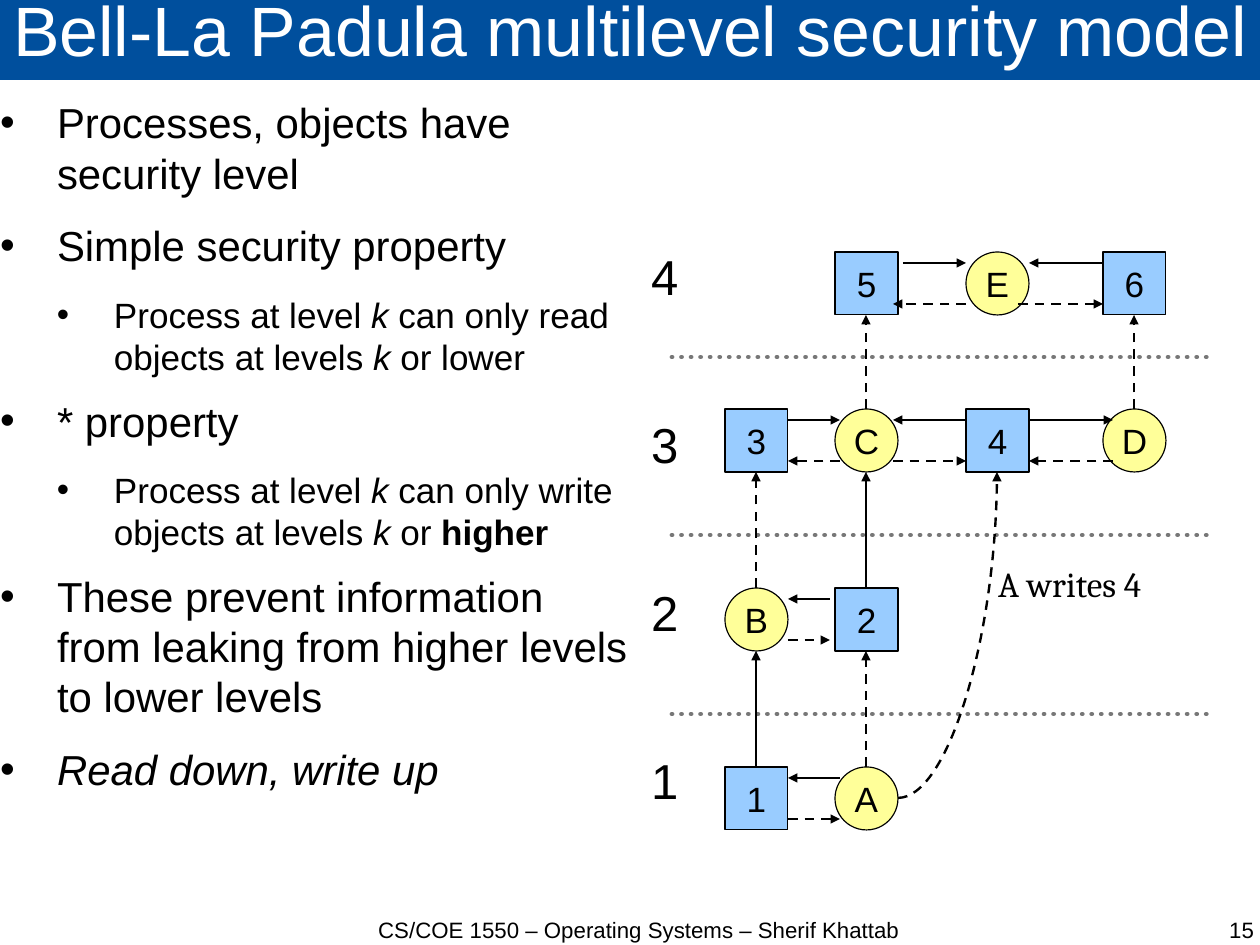
from dataclasses import dataclass

from lxml.etree import SubElement
from pptx import Presentation
from pptx.dml.color import RGBColor
from pptx.enum.dml import MSO_LINE
from pptx.enum.shapes import MSO_CONNECTOR, MSO_SHAPE
from pptx.enum.text import MSO_ANCHOR, MSO_AUTO_SIZE, PP_ALIGN
from pptx.oxml.ns import qn
from pptx.util import Pt

PX = 8000  # EMU per px, on a slide of 1260 by 945 px


@dataclass(frozen=True)
class Theme:
    font: str = "Arial"
    note_font: str = "Cambria"
    ink: str = "000000"
    title_ink: str = "FFFFFF"
    banner: str = "004F9D"
    object_fill: str = "99CCFF"
    process_fill: str = "FFFF99"
    separator: str = "777777"
    title_size: float = 44
    level_size: float = 30.9
    body_sizes: tuple = (26.4, 22.1)
    body_gaps: tuple = (14.2, 11.4)
    node_size: float = 22.1
    footer_size: float = 14


THEME = Theme()

# Diagram grid: node columns, and node tops by security level
NODE = 63
COLUMNS = [725, 835, 966, 1103]
LEVEL_TOPS = {4: 252, 3: 409, 2: 588, 1: 767}
LABEL_TOPS = {level: 241 + 168 * (4 - level) for level in LEVEL_TOPS}
SEPARATORS = [357, 535, 714]
READ_OFFSET, WRITE_OFFSET = 11, 52

# Letters are processes, digits are objects
NODES = {
    4: {1: "5", 2: "E", 3: "6"},
    3: {0: "3", 1: "C", 2: "4", 3: "D"},
    2: {0: "B", 1: "2"},
    1: {0: "1", 1: "A"},
}
# Level: (from x, to x) pairs
READS_ACROSS = {
    4: [(903, 966), (1103, 1029)],
    3: [(788, 840), (966, 893), (1029, 1113)],
    2: [(830, 788)],
    1: [(840, 788)],
}
WRITES_ACROSS = {
    4: [(966, 893), (1018, 1103)],
    3: [(840, 788), (893, 966), (1113, 1029)],
    2: [(788, 830)],
    1: [(788, 840)],
}
# (column, lower level), each pointing one level up
READS_UP = [(1, 2), (0, 1)]
WRITES_UP = [(1, 3), (3, 3), (0, 2), (1, 1)]

ITALIC, BOLD = {"italic": True}, {"bold": True}
# (list level, runs)
BODY = [
    (0, [("Processes, objects have security level", {})]),
    (0, [("Simple security property", {})]),
    (1, [("Process at level ", {}), ("k", ITALIC),
         (" can only read objects at levels ", {}), ("k", ITALIC), (" or lower", {})]),
    (0, [("* property", {})]),
    (1, [("Process at level ", {}), ("k", ITALIC),
         (" can only write objects at levels ", {}), ("k", ITALIC),
         (" or ", {}), ("higher", BOLD)]),
    (0, [("These prevent information from leaking from higher levels to lower levels", {})]),
    (0, [("Read down, write up", ITALIC)]),
]


def set_all(target, values):
    for name, value in values.items():
        setattr(target, name, value)


def scaled(*lengths):
    return [length * PX for length in lengths]


def place(shape, left, top, width, height):
    names = ("left", "top", "width", "height")
    set_all(shape, dict(zip(names, scaled(left, top, width, height))))


def set_frame(frame, inset=None, **values):
    set_all(frame, values)
    if inset is not None:
        sides = ("left", "top", "right", "bottom")
        set_all(frame, {f"margin_{side}": inset for side in sides})


def add_run(paragraph, text, size, color=THEME.ink, font=THEME.font, **style):
    run = paragraph.add_run()
    run.text = text
    set_all(run.font, {"name": font, "size": Pt(size), **style})
    run.font.color.rgb = RGBColor.from_string(color)


def fill_shape(shape, color):
    shape.fill.solid()
    shape.fill.fore_color.rgb = RGBColor.from_string(color)


def add_title(slide, text):
    title = slide.shapes.title
    place(title, 0, -2, 1262, 82)
    fill_shape(title, THEME.banner)
    set_frame(title.text_frame, inset=0, word_wrap=True,
              auto_size=MSO_AUTO_SIZE.NONE, vertical_anchor=MSO_ANCHOR.MIDDLE)
    paragraph = title.text_frame.paragraphs[0]
    set_all(paragraph, {"alignment": PP_ALIGN.CENTER, "line_spacing": 0.69})
    add_run(paragraph, text, THEME.title_size, THEME.title_ink)


def add_bullet(paragraph, level):
    properties = paragraph._p.get_or_add_pPr()
    properties.set("marL", str(57 * (level + 1) * PX))
    properties.set("indent", str(-57 * PX))
    SubElement(properties, qn("a:buFont"), typeface=THEME.font)
    SubElement(properties, qn("a:buChar"), char="•")


def add_body(slide, items):
    body = slide.placeholders[1]
    place(body, 0, 97, 630, 814)
    frame = body.text_frame
    set_frame(frame, inset=0, word_wrap=True, auto_size=MSO_AUTO_SIZE.NONE)
    for index, (level, runs) in enumerate(items):
        paragraph = frame.add_paragraph() if index else frame.paragraphs[0]
        add_bullet(paragraph, level)
        set_all(paragraph, {"level": level, "line_spacing": 1.0, "space_before": Pt(0),
                            "space_after": Pt(THEME.body_gaps[level])})
        for text, style in runs:
            add_run(paragraph, text, THEME.body_sizes[level], **style)


def add_text(slide, text, box, size, font=THEME.font, alignment=PP_ALIGN.LEFT, **frame_values):
    shape = slide.shapes.add_textbox(*scaled(*box))
    set_frame(shape.text_frame, **frame_values)
    paragraph = shape.text_frame.paragraphs[0]
    paragraph.alignment = alignment
    add_run(paragraph, text, size, font=font)


def add_node(slide, text, left, top):
    is_process = text.isalpha()
    outline = MSO_SHAPE.OVAL if is_process else MSO_SHAPE.RECTANGLE
    shape = slide.shapes.add_shape(outline, *scaled(left, top, NODE, NODE))
    shape.shadow.inherit = False
    fill_shape(shape, THEME.process_fill if is_process else THEME.object_fill)
    shape.line.color.rgb = RGBColor.from_string(THEME.ink)
    shape.line.width = Pt(0.75)
    set_frame(shape.text_frame, word_wrap=False, vertical_anchor=MSO_ANCHOR.MIDDLE)
    paragraph = shape.text_frame.paragraphs[0]
    paragraph.alignment = PP_ALIGN.CENTER
    add_run(paragraph, text, THEME.node_size)


def add_line(slide, start, end, color=THEME.ink, width=1.5, dash=None,
             arrow=True, kind=MSO_CONNECTOR.STRAIGHT):
    connector = slide.shapes.add_connector(kind, *scaled(*start, *end))
    set_all(connector.line, {"width": Pt(width), "dash_style": dash})
    connector.line.color.rgb = RGBColor.from_string(color)
    properties = connector._element.spPr
    outline = properties.find(qn("a:ln"))
    if arrow:
        SubElement(outline, qn("a:tailEnd"), type="triangle")
    else:
        outline.set("cap", "rnd")
    SubElement(properties, qn("a:effectLst"))
    return connector


def add_accesses(slide, across, up, offset, dash=None):
    for level, spans in across.items():
        y = LEVEL_TOPS[level] + offset
        for start, end in spans:
            add_line(slide, (start, y), (end, y), dash=dash)
    for column, level in up:
        x = COLUMNS[column] + NODE // 2
        add_line(slide, (x, LEVEL_TOPS[level]), (x, LEVEL_TOPS[level + 1] + NODE), dash=dash)


def add_diagram(slide):
    # Security levels
    for y in SEPARATORS:
        add_line(slide, (672, y), (1207, y), THEME.separator, 3, MSO_LINE.ROUND_DOT, arrow=False)
    grow = {"word_wrap": False, "auto_size": MSO_AUTO_SIZE.SHAPE_TO_FIT_TEXT}
    for level, top in LABEL_TOPS.items():
        add_text(slide, str(level), (640, top, 50, 71), THEME.level_size, **grow)
    # Processes and objects
    for level, row in NODES.items():
        for column, text in row.items():
            add_node(slide, text, COLUMNS[column], LEVEL_TOPS[level])
    # Reads are solid, writes are dashed
    add_accesses(slide, READS_ACROSS, READS_UP, READ_OFFSET)
    add_accesses(slide, WRITES_ACROSS, WRITES_UP, WRITE_OFFSET, MSO_LINE.DASH)
    # Process A writes object 4
    curve = add_line(slide, (898, 798), (997, 472), dash=MSO_LINE.DASH, kind=MSO_CONNECTOR.CURVE)
    curve._element.spPr.find(qn("a:prstGeom")).set("prst", "curvedConnector2")
    add_text(slide, "A writes 4", (987, 557, 168, 54), THEME.node_size, THEME.note_font, **grow)


def main():
    presentation = Presentation()
    set_all(presentation, {"slide_width": 1260 * PX, "slide_height": 945 * PX})
    slide = presentation.slides.add_slide(presentation.slide_layouts[1])
    add_title(slide, "Bell-La Padula multilevel security model")
    add_body(slide, BODY)
    # Footer
    add_text(slide, "CS/COE 1550 – Operating Systems – Sherif Khattab", (351, 916, 576, 63),
             THEME.footer_size, alignment=PP_ALIGN.CENTER, inset=0, word_wrap=True)
    add_text(slide, "15", (965, 916, 289, 63), THEME.footer_size,
             alignment=PP_ALIGN.RIGHT, inset=0, word_wrap=True)
    add_diagram(slide)
    presentation.save("out.pptx")


if __name__ == "__main__":
    main()
